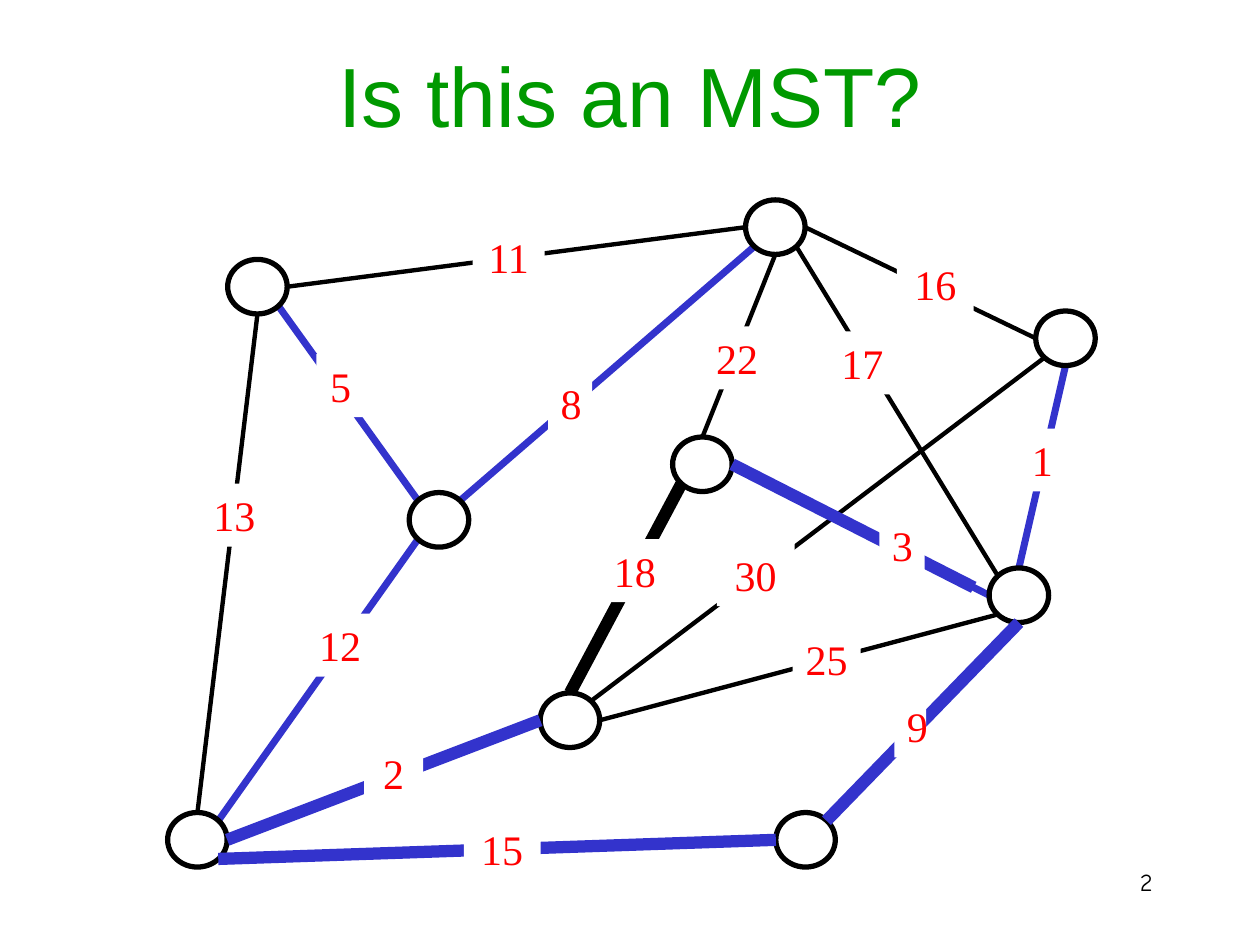
from pptx import Presentation
from pptx.dml.color import RGBColor
from pptx.enum.shapes import MSO_CONNECTOR, MSO_SHAPE
from pptx.enum.text import MSO_ANCHOR, MSO_AUTO_SIZE, PP_ALIGN
from pptx.oxml.ns import qn
from pptx.util import Cm, Pt
from lxml import etree

COLORS = {"title": "009900", "edge": "000000", "tree": "3333CC",
          "weight": "FF0000", "paper": "FFFFFF"}
COLORS = {name: RGBColor.from_string(value) for name, value in COLORS.items()}

# Node centres and half axes, in cm
RX, RY = 0.6, 0.55
NODES = {"A": (5.19, 5.78), "B": (15.63, 4.58), "C": (8.85, 10.48),
         "D": (14.16, 9.36), "E": (21.48, 6.82), "F": (11.49, 14.52),
         "G": (3.98, 16.93), "H": (20.54, 12.0), "I": (16.24, 16.93)}
# Points on a node where edges attach, as fractions of the half axes
SITES = {"t": (0, -1), "b": (0, 1), "l": (-1, 0), "r": (1, 0),
         "tl": (-0.7, -0.7), "tr": (0.7, -0.7),
         "bl": (-0.7, 0.7), "br": (0.7, 0.7)}

# weight: (node, site, node, site), (label left, top, width)
EDGES = {
    5: (("A", "br", "C", "tl"), (6.38, 7.14, 0.97)),
    8: (("B", "bl", "C", "tr"), (11.05, 7.49, 0.89)),
    1: (("E", "b", "H", "t"), (20.55, 8.64, 0.81)),
    3: (("D", "r", "H", "l"), (17.73, 10.34, 0.91)),
    2: (("F", "l", "G", "r"), (7.34, 14.94, 1.19)),
    15: (("I", "l", "G", "br"), (9.35, 16.48, 1.55)),
    9: (("I", "tr", "H", "b"), (18.03, 14.0, 0.64)),
    11: (("A", "r", "B", "l"), (9.53, 4.55, 1.45)),
    13: (("A", "b", "G", "t"), (3.99, 9.75, 1.47)),
    12: (("C", "bl", "G", "tr"), (6.17, 12.37, 1.37)),
    25: (("H", "bl", "F", "r"), (15.98, 12.65, 1.37)),
    30: (("E", "bl", "F", "tr"), (14.45, 10.95, 1.57)),
    17: (("B", "br", "H", "tl"), (16.61, 6.68, 1.55)),
    18: (("D", "bl", "F", "t"), (12.09, 10.87, 1.42)),
    16: (("B", "r", "E", "l"), (18.08, 5.08, 1.55)),
    22: (("B", "b", "D", "t"), (14.15, 6.58, 1.42)),
}
TREE = (5, 8, 1, 3, 2, 15, 9, 12)
HEAVY = {18: "edge", 2: "tree", 15: "tree", 9: "tree", 3: "tree"}
HEAVY_PART = {3: 0.94}  # this heavy line stops short of its node


def draw_edge(weight, color, width, part=1):
    n1, s1, n2, s2 = EDGES[weight][0]
    (x1, y1), (x2, y2) = [
        (NODES[n][0] + RX * SITES[s][0], NODES[n][1] + RY * SITES[s][1])
        for n, s in ((n1, s1), (n2, s2))]
    x2, y2 = x1 + part * (x2 - x1), y1 + part * (y2 - y1)
    line = shapes.add_connector(MSO_CONNECTOR.STRAIGHT,
                                Cm(x1), Cm(y1), Cm(x2), Cm(y2))
    line.line.color.rgb = COLORS[color]
    line.line.width = Pt(width)
    etree.SubElement(line._element.spPr, qn("a:effectLst"))


def set_text(sp, text, align, color, font):
    tf = sp.text_frame
    frame = {"word_wrap": True, "vertical_anchor": MSO_ANCHOR.TOP,
             "auto_size": MSO_AUTO_SIZE.SHAPE_TO_FIT_TEXT}
    for name, value in frame.items():
        setattr(tf, name, value)
    p = tf.paragraphs[0]
    p.alignment = align
    r = p.add_run()
    r.text = text
    for name, value in font.items():
        setattr(r.font, name, value)
    r.font.color.rgb = COLORS[color]


prs = Presentation()
prs.slide_width, prs.slide_height = Cm(25.4), Cm(19.05)
s = prs.slides.add_slide(prs.slide_layouts[5])
shapes = s.shapes

# Title
title = shapes.title
box = {"left": Cm(0), "top": Cm(0.76), "width": Cm(25.4), "height": Cm(2.31)}
for name, value in box.items():
    setattr(title, name, value)
set_text(title, "Is this an MST?", PP_ALIGN.CENTER, "title",
         {"size": Pt(48), "name": "Arial"})

# All edges, then the tree edges over them
for weight in EDGES:
    draw_edge(weight, "edge", 2.5)
for weight in TREE:
    draw_edge(weight, "tree", 4)

# Nodes
for x, y in NODES.values():
    sp = shapes.add_shape(MSO_SHAPE.OVAL, Cm(x - RX), Cm(y - RY),
                          Cm(2 * RX), Cm(2 * RY))
    sp.shadow.inherit = False
    sp.fill.background()
    sp.line.color.rgb = COLORS["edge"]
    sp.line.width = Pt(3)

# Heavy edges
for weight, color in HEAVY.items():
    draw_edge(weight, color, 7, HEAVY_PART.get(weight, 1))

# Weights
for weight, (_, (x, y, width)) in EDGES.items():
    height = 2.01 if weight == 2 else 1.27
    sp = shapes.add_shape(MSO_SHAPE.RECTANGLE, Cm(x), Cm(y),
                          Cm(width), Cm(height))
    sp.shadow.inherit = False
    sp.fill.solid()
    sp.fill.fore_color.rgb = COLORS["paper"]
    sp.line.fill.background()
    set_text(sp, str(weight), PP_ALIGN.CENTER, "weight",
             {"size": Pt(24), "name": "Times New Roman"})

# Page number
number = shapes.add_textbox(Cm(18.21), Cm(17.35), Cm(5.28), Cm(1.27))
set_text(number, "2", PP_ALIGN.RIGHT, "edge",
         {"size": Pt(14), "name": "Comic Neue"})
number.text_frame.auto_size = MSO_AUTO_SIZE.NONE

prs.save("out.pptx")
